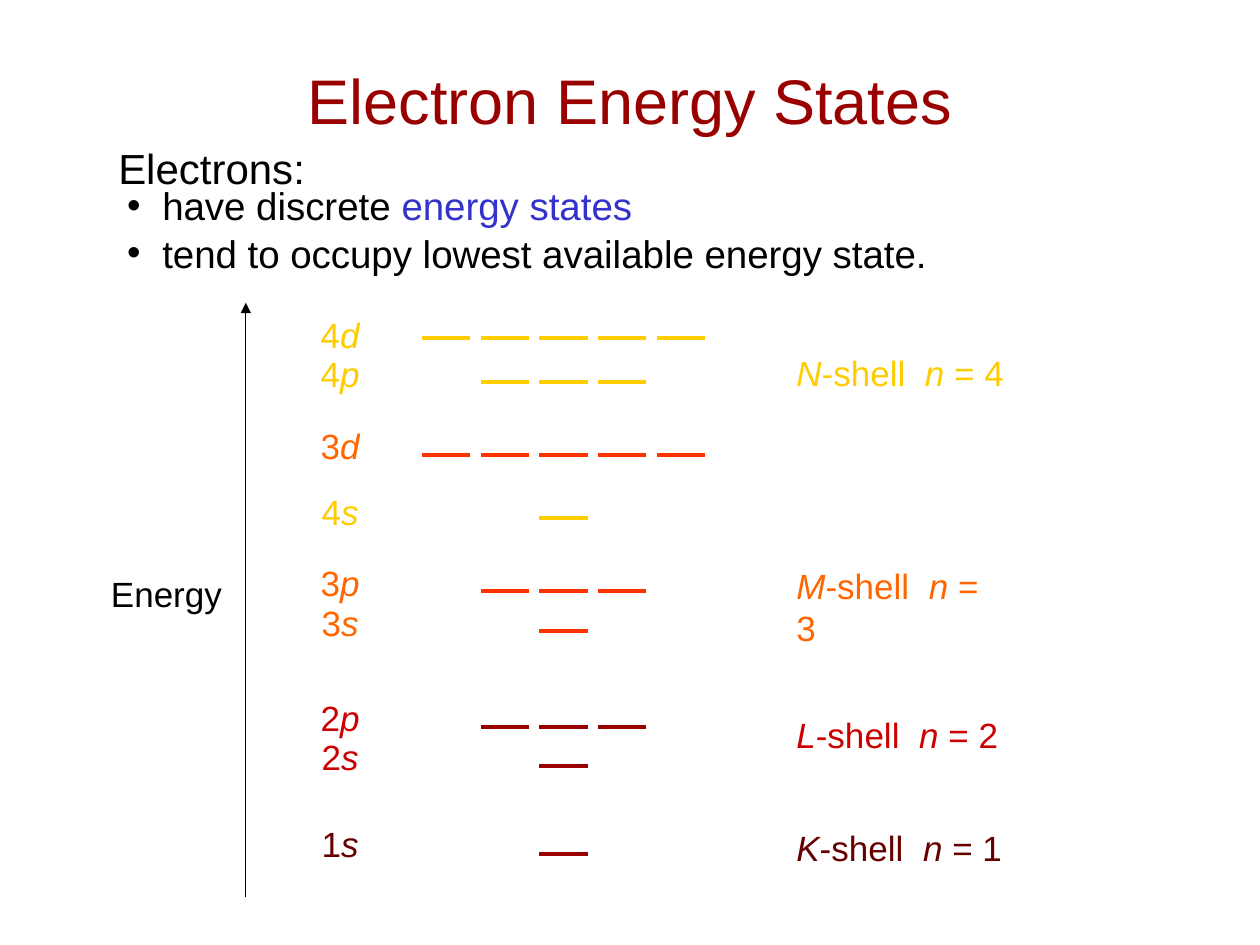
from lxml.etree import SubElement
from pptx import Presentation
from pptx.dml.color import RGBColor
from pptx.enum.shapes import MSO_CONNECTOR
from pptx.enum.text import MSO_ANCHOR, PP_ALIGN
from pptx.oxml.ns import qn
from pptx.util import Pt

BLACK = RGBColor(0x00, 0x00, 0x00)
BLUE = RGBColor(0x33, 0x33, 0xCC)
DARK_RED = RGBColor(0x99, 0x00, 0x00)
MAROON = RGBColor(0x66, 0x00, 0x00)
RED = RGBColor(0xCC, 0x00, 0x00)
ORANGE = RGBColor(0xFF, 0x66, 0x00)
VERMILION = RGBColor(0xFF, 0x33, 0x00)
YELLOW = RGBColor(0xFF, 0xCC, 0x00)

# Shell number: letter, text colour, orbital colour, top of the shell name
SHELLS = {
    1: ("K", MAROON, DARK_RED, 468.7),
    2: ("L", RED, DARK_RED, 404),
    3: ("M", ORANGE, VERMILION, 319),
    4: ("N", YELLOW, YELLOW, 197.3),
}
# Shell number, subshell, top of the label, height of the orbitals
LEVELS = [
    (1, "s", 466.5, 488.2),
    (2, "s", 417, 437.8),
    (2, "p", 394.5, 415.4),
    (3, "s", 340, 360.7),
    (3, "p", 317.5, 337.7),
    (4, "s", 276.5, 296),
    (3, "d", 239, 260),
    (4, "p", 198, 218.2),
    (4, "d", 175.7, 193),
]
ORBITAL_COUNT = {"s": 1, "p": 3, "d": 5}
LABEL_WIDTH = {"s": 37.5, "p": 48, "d": 48}
ORBITAL_WIDTH, ORBITAL_PITCH = 27.5, 33.5
LINE_HEIGHT = 31.5


def add_text(page, left, top, width, height, paragraphs, size, color,
             align=PP_ALIGN.LEFT, wrap=False):
    """Each paragraph is a list of (text, italic, colour or None) runs."""
    frame = page.shapes.add_textbox(Pt(left), Pt(top), Pt(width), Pt(height)).text_frame
    frame.word_wrap = wrap
    for index, runs in enumerate(paragraphs):
        para = frame.add_paragraph() if index else frame.paragraphs[0]
        para.alignment = align
        for text, italic, run_color in runs:
            span = para.add_run()
            span.text = text
            span.font.name = "Arial"
            span.font.size = Pt(size)
            span.font.italic = italic
            span.font.color.rgb = run_color or color
    return frame


def add_line(page, start, end, color, weight):
    line = page.shapes.add_connector(
        MSO_CONNECTOR.STRAIGHT, *(Pt(value) for value in (*start, *end)))
    line.line.color.rgb = color
    line.line.width = Pt(weight)
    SubElement(line._element.spPr, qn("a:effectLst"))
    return line


def add_title(page, left, top, width, height):
    frame = add_text(page, left, top, width, height,
                     [[("Electron Energy States", False, None)]],
                     36, DARK_RED, PP_ALIGN.CENTER, wrap=True)
    frame.vertical_anchor = MSO_ANCHOR.MIDDLE


def add_facts(page, left, top, width, height):
    add_text(page, left, top, 121, 36, [[("Electrons:", False, None)]], 24, BLACK)

    # Bulleted facts
    frame = add_text(page, left + 12.2, top + 26, width - 12.2, height - 26, [
        [("have discrete ", False, None), ("energy states", False, BLUE)],
        [("tend to occupy lowest available energy state.", False, None)],
    ], 22, BLACK)
    frame.margin_left = frame.margin_top = frame.margin_right = frame.margin_bottom = 0
    for para in frame.paragraphs:
        properties = para._p.get_or_add_pPr()
        properties.set("marL", str(Pt(20)))
        properties.set("indent", str(-Pt(20)))
        SubElement(properties, qn("a:buFont")).set("typeface", "Arial")
        SubElement(properties, qn("a:buChar")).set("char", "•")
    frame.paragraphs[1].space_before = Pt(1)


def add_energy_axis(page, left, top, width, height):
    right = left + width
    axis = add_line(page, (right, top + height), (right, top), BLACK, 0.75)
    SubElement(axis.line._get_or_add_ln(), qn("a:tailEnd")).set("type", "triangle")
    add_text(page, left, top + 150.5, 77.8, LINE_HEIGHT,
             [[("Energy", False, None)]], 20, BLACK, PP_ALIGN.CENTER)


def add_level(page, label_center, orbital_center, level):
    number, subshell, label_top, orbital_y = level
    _, text_color, orbital_color, _ = SHELLS[number]
    width = LABEL_WIDTH[subshell]
    add_text(page, label_center - width / 2, label_top, width, LINE_HEIGHT,
             [[(str(number), False, None), (subshell, True, None)]],
             20, text_color, PP_ALIGN.CENTER, wrap=True)

    # Orbitals, spread evenly about the centre
    count = ORBITAL_COUNT[subshell]
    for index in range(count):
        start = orbital_center + (index - (count - 1) / 2) * ORBITAL_PITCH - ORBITAL_WIDTH / 2
        add_line(page, (start, orbital_y), (start + ORBITAL_WIDTH, orbital_y),
                 orbital_color, 2.25)


def add_shell_names(page, left, width):
    for number, (letter, color, _, top) in SHELLS.items():
        add_text(page, left, top, width, LINE_HEIGHT, [[
            (letter, True, None), ("-shell  ", False, None),
            ("n ", True, None), (f"= {number}", False, None),
        ]], 20, color)


def main():
    deck = Presentation()
    deck.slide_width, deck.slide_height = Pt(720), Pt(540)
    page = deck.slides.add_slide(deck.slide_layouts[6])

    add_title(page, 30, 30, 660, 54)
    add_energy_axis(page, 56.2, 173, 84.3, 339.6)
    for level in LEVELS:
        add_level(page, 194.3, 322, level)
    add_shell_names(page, 448, 133)
    add_facts(page, 60.5, 77.8, 469.5, 78.5)
    deck.save("out.pptx")


if __name__ == "__main__":
    main()
